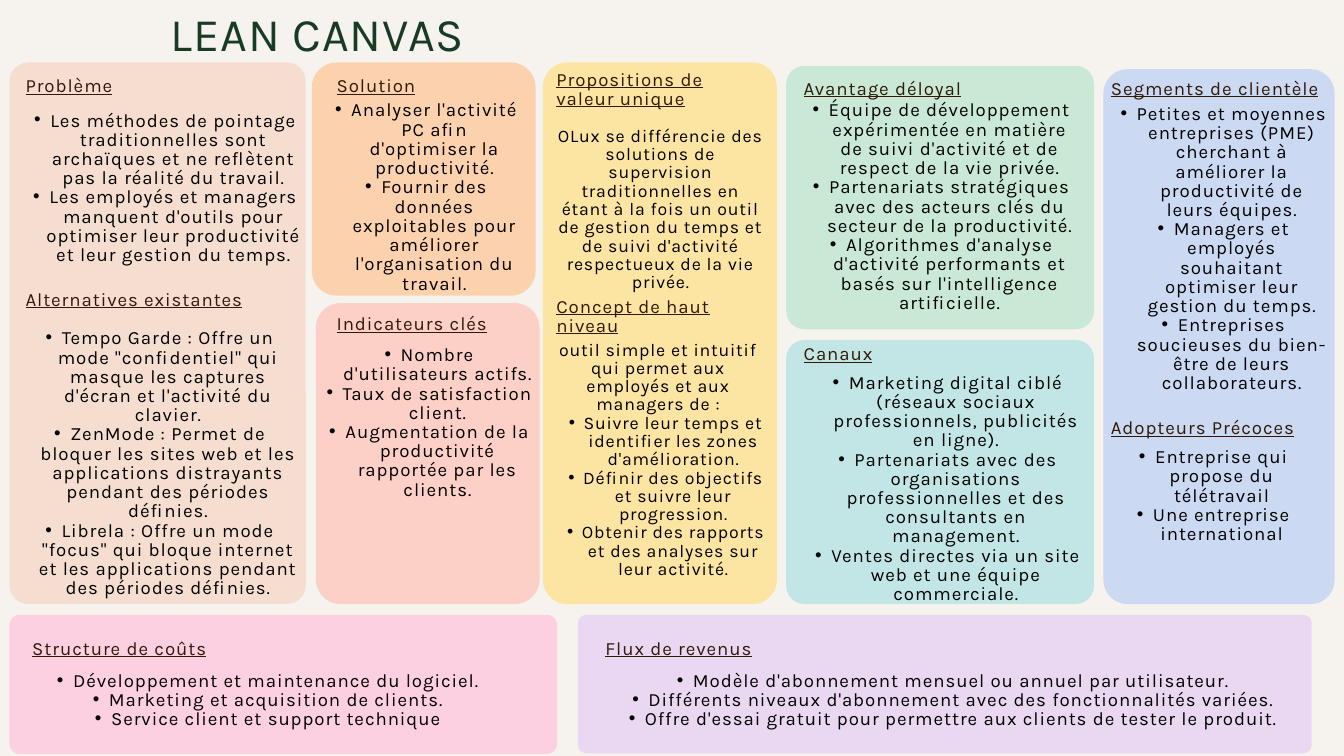
from lxml.etree import SubElement
from pptx import Presentation
from pptx.dml.color import RGBColor
from pptx.enum.shapes import MSO_SHAPE as Shape
from pptx.enum.text import MSO_AUTO_SIZE as AutoSize, PP_ALIGN as Align
from pptx.oxml.ns import qn
from pptx.util import Pt

PX = 9144  # 100 px to the inch

PAPER = RGBColor(0xF6, 0xF3, 0xEF)
GREEN = RGBColor(0x18, 0x3B, 0x23)
BROWN = RGBColor(0x30, 0x19, 0x06)
BLACK = RGBColor(0x00, 0x00, 0x00)
SAND = RGBColor(0xF5, 0xD6, 0xC3)
ORANGE = RGBColor(0xFF, 0xC4, 0x93)
CORAL = RGBColor(0xFF, 0xC0, 0xB7)
YELLOW = RGBColor(0xFF, 0xDE, 0x83)
MINT = RGBColor(0xB7, 0xE6, 0xCC)
AQUA = RGBColor(0xAC, 0xE1, 0xE1)
BLUE = RGBColor(0xBA, 0xCF, 0xF4)
PINK = RGBColor(0xFF, 0xC2, 0xDB)
LILAC = RGBColor(0xE6, 0xCD, 0xF4)

# Formats: font values, letter spacing and line spacing in points, bullet indent in px
TITLE = dict(font=dict(size=Pt(50), color=GREEN), spc=0.9, leading=55)
HEADING = dict(font=dict(size=Pt(20), color=BROWN, underline=True), spc=1, leading=20.6)
BODY = dict(font=dict(size=Pt(20), color=BLACK), spc=1, leading=20.6,
            align=Align.CENTER, indent=(47, -24))
SMALL = dict(font=dict(size=Pt(19), color=BLACK), spc=0.9, leading=19.6,
             align=Align.CENTER, indent=(45, -22))

# Cards: left, top, width, height, corner radius, colour
CARDS = [
    (14, 93, 441, 806, 28, SAND),
    (464, 93, 333, 347, 37, ORANGE),
    (470, 451, 333, 448, 37, CORAL),
    (808, 93, 348, 806, 36, YELLOW),
    (1170, 98, 458, 392, 27, MINT),
    (1170, 506, 458, 393, 27, AQUA),
    (1642, 103, 344, 796, 36, BLUE),
    (14, 915, 815, 207, 15, PINK),
    (860, 915, 1092, 206, 12, LILAC),
]

# Sections: heading, its box, body box, body format, opening lines, bullets
SECTIONS = [
    ("Problème", (38, 115, 241, 31), (14, 166, 441, 256), BODY, [], [
        "Les méthodes de pointage traditionnelles sont archaïques et ne reflètent pas la réalité du travail.",
        "Les employés et managers manquent d'outils pour optimiser leur productivité et leur gestion du temps."]),
    ("Alternatives existantes", (38, 433, 334, 31), (6, 490, 441, 425), BODY, [], [
        "Tempo Garde : Offre un mode \"confidentiel\" qui masque les captures d'écran et l'activité du clavier.",
        "ZenMode : Permet de bloquer les sites web et les applications distrayants pendant des périodes définies.",
        "Librela : Offre un mode \"focus\" qui bloque internet et les applications pendant des périodes définies."]),
    ("Solution", (501, 115, 244, 31), (468, 151, 310, 312), BODY, [], [
        "Analyser l'activité PC afin d'optimiser la productivité.",
        "Fournir des données exploitables pour améliorer l'organisation du travail."]),
    ("Indicateurs clés", (501, 469, 244, 31), (452, 515, 351, 284), BODY, [], [
        "Nombre d'utilisateurs actifs.",
        "Taux de satisfaction client.",
        "Augmentation de la productivité rapportée par les clients."]),
    ("Propositions de valeur unique", (828, 105, 244, 59), (828, 190, 310, 246), SMALL, [
        "OLux se différencie des solutions de supervision traditionnelles en étant à la fois un outil "
        "de gestion du temps et de suivi d'activité respectueux de la vie privée."], []),
    ("Concept de haut niveau", (828, 443, 296, 59), (816, 508, 327, 409), SMALL, [
        "outil simple et intuitif qui permet aux employés et aux managers de :"], [
        "Suivre leur temps et identifier les zones d'amélioration.",
        "Définir des objectifs et suivre leur progression.",
        "Obtenir des rapports et des analyses sur leur activité."]),
    ("Avantage déloyal", (1196, 119, 254, 31), (1175, 151, 429, 368), BODY, [], [
        "Équipe de développement expérimentée en matière de suivi d'activité et de respect de la vie privée.",
        "Partenariats stratégiques avec des acteurs clés du secteur de la productivité.",
        "Algorithmes d'analyse d'activité performants et basés sur l'intelligence artificielle."]),
    ("Canaux", (1196, 514, 237, 31), (1175, 556, 448, 368), BODY, [], [
        "Marketing digital ciblé (réseaux sociaux professionnels, publicités en ligne).",
        "Partenariats avec des organisations professionnelles et des consultants en management.",
        "Ventes directes via un site web et une équipe commerciale."]),
    ("Segments de clientèle", (1653, 119, 321, 31), (1643, 156, 333, 453), BODY, [], [
        "Petites et moyennes entreprises (PME) cherchant à améliorer la productivité de leurs équipes.",
        "Managers et employés souhaitant optimiser leur gestion du temps.",
        "Entreprises soucieuses du bien-être de leurs collaborateurs."]),
    ("Adopteurs Précoces", (1653, 624, 299, 31), (1646, 667, 297, 171), BODY, [], [
        "Entreprise qui propose du télétravail",
        "Une entreprise international"]),
    ("Structure de coûts", (48, 952, 290, 31), (14, 1000, 746, 115), BODY, [], [
        "Développement et maintenance du logiciel.",
        "Marketing et acquisition de clients.",
        "Service client et support technique"]),
    ("Flux de revenus", (901, 952, 370, 31), (870, 1000, 1073, 115), BODY, [], [
        "Modèle d'abonnement mensuel ou annuel par utilisateur.",
        "Différents niveaux d'abonnement avec des fonctionnalités variées.",
        "Offre d'essai gratuit pour permettre aux clients de tester le produit."]),
]


def emu(box):
    return [length * PX for length in box]


def add_card(slide, left, top, width, height, radius, colour):
    card = slide.shapes.add_shape(Shape.ROUNDED_RECTANGLE, *emu((left, top, width, height)))
    card.adjustments[0] = radius / min(width, height)
    card.shadow.inherit = False
    card.line.fill.background()
    card.fill.solid()
    card.fill.fore_color.rgb = colour
    tint = card.fill._xPr.find(qn("a:solidFill"))[0]
    SubElement(tint, qn("a:alpha"), val="70000")


def add_bullet(paragraph, indent):
    paragraph.level = 1
    margin, hanging = emu(indent)
    props = paragraph._p.get_or_add_pPr()
    props.set("marL", str(margin))
    props.set("indent", str(hanging))
    SubElement(props, qn("a:buFont"), typeface="Arial")
    SubElement(props, qn("a:buChar"), char="•")


def add_text(slide, box, style, lines, bullets=()):
    frame = slide.shapes.add_textbox(*emu(box)).text_frame
    settings = dict(margin_left=0, margin_right=0, margin_top=0, margin_bottom=0,
                    word_wrap=True, auto_size=AutoSize.SHAPE_TO_FIT_TEXT)
    for name, value in settings.items():
        setattr(frame, name, value)
    for i, words in enumerate([*lines, *bullets]):
        paragraph = frame.add_paragraph() if i else frame.paragraphs[0]
        if i >= len(lines):
            add_bullet(paragraph, style["indent"])
        paragraph.alignment = style.get("align", Align.LEFT)
        paragraph.line_spacing = Pt(style["leading"])
        run = paragraph.add_run()
        run.text = words
        run.font.name = "Karla"
        for name, value in style["font"].items():
            if name == "color":
                run.font.color.rgb = value
            else:
                setattr(run.font, name, value)
        run._r.get_or_add_rPr().set("spc", str(round(style["spc"] * 100)))


def main():
    deck = Presentation()
    deck.slide_width, deck.slide_height = emu((2000, 1125))
    slide = deck.slides.add_slide(deck.slide_layouts[6])
    slide.background.fill.solid()
    slide.background.fill.fore_color.rgb = PAPER

    add_text(slide, (254, 14, 852, 80), TITLE, ["LEAN CANVAS"])
    for card in CARDS:
        add_card(slide, *card)
    for heading, heading_box, body_box, style, lines, bullets in SECTIONS:
        add_text(slide, heading_box, HEADING, [heading])
        add_text(slide, body_box, style, lines, bullets)

    deck.save("out.pptx")


if __name__ == "__main__":
    main()
